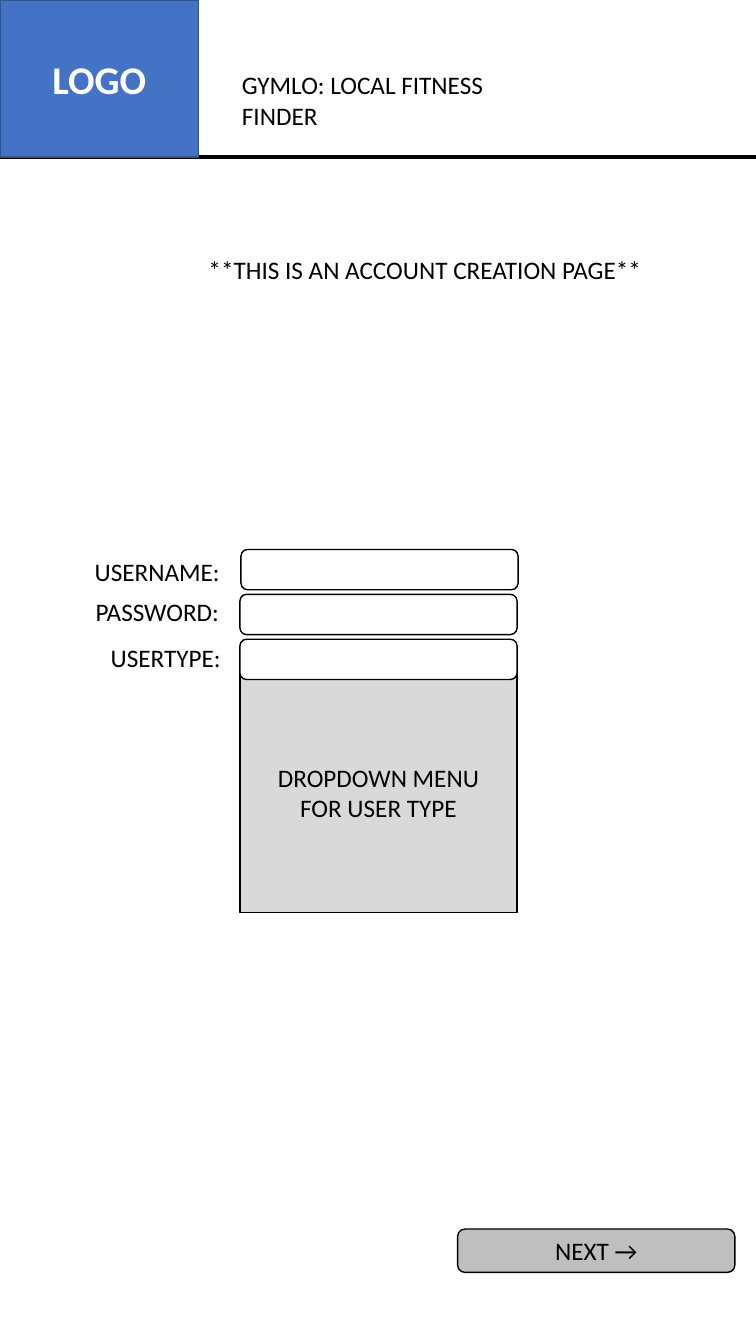
import pptx
import pptx.util
import pptx.dml.color
import pptx.enum.shapes
import pptx.enum.text
import pptx.oxml.ns
import lxml.etree

Inches = pptx.util.Inches
Pt = pptx.util.Pt
RGBColor = pptx.dml.color.RGBColor
KIND = pptx.enum.shapes.MSO_SHAPE
ALIGN = pptx.enum.text.PP_ALIGN
ANCHOR = pptx.enum.text.MSO_ANCHOR
FIT = pptx.enum.text.MSO_AUTO_SIZE

BLACK = RGBColor(0x00, 0x00, 0x00)
WHITE = RGBColor(0xFF, 0xFF, 0xFF)
BLUE = RGBColor(0x44, 0x72, 0xC4)
NAVY = RGBColor(0x32, 0x54, 0x91)
PALE = RGBColor(0xD9, 0xD9, 0xD9)
GRAY = RGBColor(0xBF, 0xBF, 0xBF)


def write(shape, text, size=18, color=BLACK, bold=False, align=ALIGN.LEFT,
          anchor=ANCHOR.TOP, wrap=False, fit=FIT.SHAPE_TO_FIT_TEXT):
    """Put text into a shape, one paragraph a line, and format it."""
    frame = shape.text_frame
    frame.text = text
    frame.word_wrap = wrap
    frame.auto_size = fit
    frame.vertical_anchor = anchor
    for para in frame.paragraphs:
        para.alignment = align
        para.line_spacing = 1.0
        para.space_before = Pt(0)
        font = para.runs[0].font
        font.name = "Calibri"
        font.size = Pt(size)
        font.bold = bold
        font.color.rgb = color


def draw(parent, kind, left, top, width, height, fill, line=BLACK):
    """Add a filled, outlined shape without a shadow."""
    shape = parent.add_shape(kind, Inches(left), Inches(top),
                             Inches(width), Inches(height))
    shape.shadow.inherit = False
    shape.fill.solid()
    shape.fill.fore_color.rgb = fill
    shape.line.color.rgb = line
    shape.line.width = Pt(1)
    return shape


deck = pptx.Presentation()
deck.slide_width = Inches(7.5)
deck.slide_height = Inches(13.33)
slide = deck.slides.add_slide(deck.slide_layouts[5])
shapes = slide.shapes
label = {"align": ALIGN.CENTER, "anchor": ANCHOR.MIDDLE,
         "wrap": True, "fit": FIT.NONE}

# Header
title = shapes.title
title.left, title.top = Inches(2.3), Inches(0.64)
title.width, title.height = Inches(3.34), Inches(0.4)
write(title, "GYMLO: LOCAL FITNESS FINDER")

rule = shapes.add_connector(pptx.enum.shapes.MSO_CONNECTOR.STRAIGHT,
                            0, Inches(1.56), deck.slide_width, Inches(1.56))
rule.line.color.rgb = BLACK
rule.line.width = Pt(3)
props = rule._element.spPr
lxml.etree.SubElement(props, pptx.oxml.ns.qn("a:effectLst"))

logo = draw(shapes, KIND.RECTANGLE, 0, 0, 1.97, 1.56, BLUE, NAVY)
write(logo, "LOGO", size=28, color=WHITE, bold=True, **label)

note = shapes.add_textbox(Inches(1.97), Inches(2.47), Inches(4.54), Inches(0.4))
write(note, "**THIS IS AN ACCOUNT CREATION PAGE**")

# Open menu, tucked under the last field
menu = draw(shapes, KIND.RECTANGLE, 2.38, 6.67, 2.75, 2.38, PALE)
write(menu, "DROPDOWN MENU\nFOR USER TYPE", **label)

# Form: each field is grouped with its label
fields = [("USERNAME:", 0.84, 5.47, 1.45, 2.39),
          ("PASSWORD:", 0.85, 5.87, 1.44, 2.38),
          ("USERTYPE:", 1.0, 6.32, 1.3, 2.38)]
for row, (name, left, top, width, edge) in enumerate(fields):
    group = shapes.add_group_shape()
    box = group.shapes.add_textbox(Inches(left), Inches(top),
                                   Inches(width), Inches(0.4))
    write(box, name)
    draw(group.shapes, KIND.ROUNDED_RECTANGLE, edge, 5.45 + 0.445 * row,
         2.75, 0.4, WHITE)

# Button
button = draw(shapes, KIND.ROUNDED_RECTANGLE, 4.54, 12.19, 2.75, 0.43, GRAY)
write(button, "NEXT →", **label)

deck.save("out.pptx")
